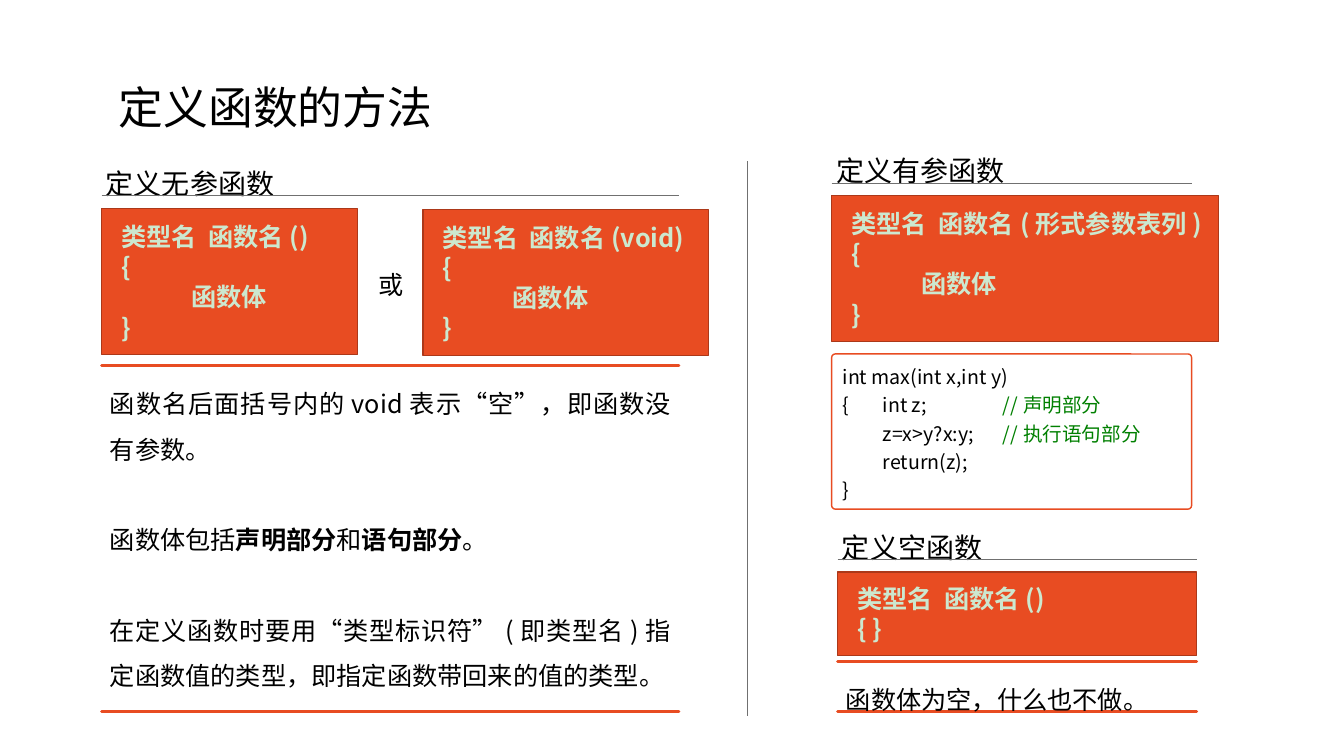
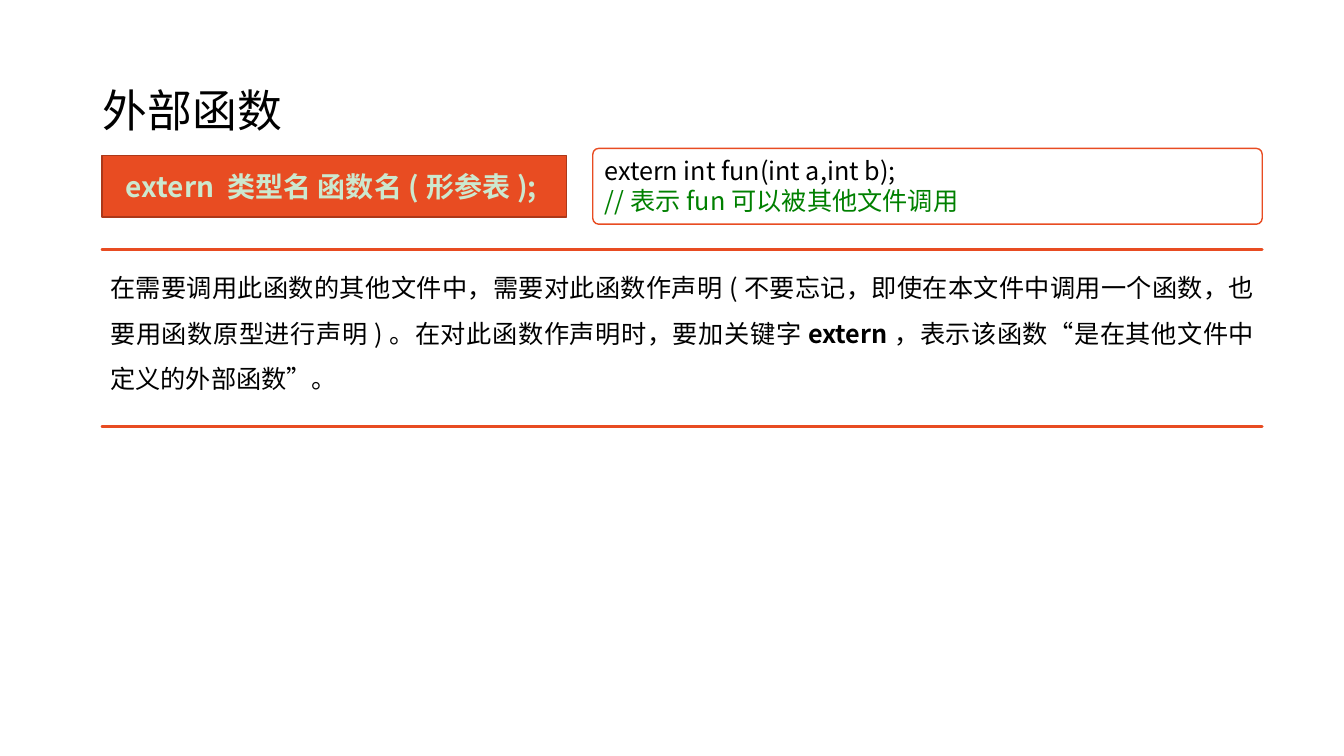
import pptx
import pptx.util
import pptx.dml.color
import pptx.enum.shapes
import pptx.enum.text
import pptx.oxml
import pptx.oxml.ns

Cm, Pt = pptx.util.Cm, pptx.util.Pt
RGBColor = pptx.dml.color.RGBColor
ALIGN = pptx.enum.text.PP_ALIGN
ANCHOR = pptx.enum.text.MSO_ANCHOR
SHAPE = pptx.enum.shapes.MSO_SHAPE
qn = pptx.oxml.ns.qn

FONT = "Noto Sans CJK SC"
LINE_HEIGHT = 1.2
ORANGE = RGBColor(0xE8, 0x4C, 0x22)
RUST = RGBColor(0xAC, 0x38, 0x19)
MINT = RGBColor(0xCC, 0xE8, 0xCF)
GREEN = RGBColor(0x00, 0x80, 0x00)
GREY = RGBColor(0x70, 0x70, 0x70)
BLACK = RGBColor(0x00, 0x00, 0x00)
WHITE = RGBColor(0xFF, 0xFF, 0xFF)

SYNTAX_TABS = (1.76, 2.19)
CODE_TABS = tuple(1.01 * step for step in range(1, 5))
BODY = ["{", "\t函数体", "}"]


def add_tabs(paragraph, stops):
    """Give a paragraph left tab stops at the given centimetres."""
    properties = paragraph._p.get_or_add_pPr()
    tab_list = properties.makeelement(qn("a:tabLst"), {})
    for stop in stops:
        tab_list.append(tab_list.makeelement(
            qn("a:tab"), {"pos": str(int(Cm(stop))), "algn": "l"}))
    properties.append(tab_list)


def write(shape, paragraphs, size=18, color=BLACK, bold=False, align=ALIGN.LEFT,
          anchor=ANCHOR.TOP, spacing=1, gap=0, tabs=(), insets=(0.25, 0.13, 0.25, 0.13)):
    """Fill a shape with paragraphs, each a string or a list of strings and (text, format) runs."""
    frame = shape.text_frame
    frame.word_wrap = True
    frame.vertical_anchor = anchor
    (frame.margin_left, frame.margin_top,
     frame.margin_right, frame.margin_bottom) = map(Cm, insets)
    for index, content in enumerate(paragraphs):
        paragraph = frame.paragraphs[0] if index == 0 else frame.add_paragraph()
        paragraph.alignment = align
        paragraph.line_spacing = Pt(round(size * LINE_HEIGHT * spacing, 1))
        if index and gap:
            paragraph.space_before = Pt(gap)
        if tabs:
            add_tabs(paragraph, tabs)
        for piece in [content] if isinstance(content, str) else content:
            words, look = (piece, {}) if isinstance(piece, str) else piece
            run = paragraph.add_run()
            run.text = words
            run.font.name = FONT
            run.font.size = Pt(size)
            run.font.bold = look.get("bold", bold)
            run.font.color.rgb = look.get("color", color)
            east_asian = run._r.get_or_add_rPr().makeelement(qn("a:ea"), {"typeface": FONT})
            run.font._element.find(qn("a:latin")).addnext(east_asian)


def text(slide, left, top, width, height, paragraphs, **look):
    """Place a text box."""
    write(slide.shapes.add_textbox(Cm(left), Cm(top), Cm(width), Cm(height)),
          paragraphs, **look)


def panel(slide, kind, left, top, width, height, fill, border):
    """Place a filled and outlined shape."""
    shape = slide.shapes.add_shape(kind, Cm(left), Cm(top), Cm(width), Cm(height))
    shape.shadow.inherit = False
    shape.fill.solid()
    shape.fill.fore_color.rgb = fill
    shape.line.color.rgb = border
    shape.line.width = Pt(1)
    return shape


def rule(slide, x1, y1, x2, y2):
    """Draw a thin straight line."""
    line = slide.shapes.add_connector(
        pptx.enum.shapes.MSO_CONNECTOR.STRAIGHT, Cm(x1), Cm(y1), Cm(x2), Cm(y2))
    line.line.color.rgb = GREY
    line.line.width = Pt(0.5)
    properties = line._element.spPr
    properties.append(properties.makeelement(qn("a:effectLst"), {}))


def title(slide, left, top, width, words):
    """Write the slide title."""
    text(slide, left, top, width, 3.68, [words], size=32, anchor=ANCHOR.MIDDLE)


def heading(slide, left, top, width, words):
    """Write a section heading over a thin rule at the given top."""
    text(slide, left - 0.14, top - 0.87, 5.49, 1.12, [words], size=20)
    rule(slide, left, top, left + width, top)


def syntax(slide, left, top, width, height, lines, **look):
    """Show a syntax template on an orange panel."""
    style = dict(color=MINT, bold=True, anchor=ANCHOR.MIDDLE,
                 tabs=SYNTAX_TABS, insets=(0.5, 0.13, 0, 0.13))
    write(panel(slide, SHAPE.RECTANGLE, left, top, width, height, ORANGE, RUST),
          lines, **{**style, **look})


def code(slide, left, top, width, height, radius, lines, **look):
    """Show sample code in a rounded frame."""
    frame = panel(slide, SHAPE.ROUNDED_RECTANGLE, left, top, width, height, WHITE, ORANGE)
    frame.adjustments[0] = radius / min(width, height)
    write(frame, lines, **look)


def note(slide, left, top, width, height, paragraphs):
    """Write an explanation in an outline of only a bottom and a top rule."""
    start, end = Cm(left), Cm(left + width)
    upper, lower = Cm(top), Cm(top + height)
    builder = slide.shapes.build_freeform(start, lower)
    builder.add_line_segments([(end, lower), (start, lower)], close=True)
    builder.move_to(start, upper)
    builder.add_line_segments([(end, upper), (start, upper)], close=True)
    outline = builder.convert_to_shape()
    outline.shadow.inherit = False
    outline.fill.background()
    outline.line.color.rgb = ORANGE
    outline.line.width = Pt(2)
    write(outline, paragraphs, align=ALIGN.JUSTIFY,
          spacing=1.5, gap=32.4, insets=(0.21, 0.2, 0.2, 0.2))


def without_parameters(slide, left, top, width):
    """Explain functions without parameters."""
    heading(slide, left, top, width, "定义无参函数")
    syntax(slide, left, top + 0.33, 6.45, 3.68, ["类型名\t函数名()"] + BODY)
    syntax(slide, left + 8.1, top + 0.35, 7.19, 3.68, ["类型名\t函数名(void)"] + BODY)
    text(slide, left + 6.7, top + 1.73, 1.17, 1.02, ["或"], align=ALIGN.CENTER)
    strong = {"bold": True}
    note(slide, left, top + 4.28, width, 8.71, [
        "函数名后面括号内的void表示“空”，即函数没有参数。",
        ["函数体包括", ("声明部分", strong), "和", ("语句部分", strong), "。"],
        "在定义函数时要用“类型标识符”(即类型名)指定函数值的类型，即指定函数带回来的值的类型。",
    ])


def with_parameters(slide, left, top, width):
    """Explain functions with parameters."""
    heading(slide, left, top, width, "定义有参函数")
    syntax(slide, left, top + 0.32, 9.75, 3.68, ["类型名\t函数名(形式参数表列)"] + BODY)
    comment = {"color": GREEN}
    code(slide, left, top + 4.31, width, 3.91, 0.09, [
        "int max(int x,int y)",
        ["{\tint z;\t\t", ("//声明部分", comment)],
        ["\tz=x>y?x:y;\t", ("//执行语句部分", comment)],
        "\treturn(z);",
        "}",
    ], size=14, spacing=1.2, tabs=CODE_TABS)


def empty_function(slide, left, top, width):
    """Explain empty functions."""
    heading(slide, left, top, width, "定义空函数")
    syntax(slide, left, top + 0.31, width, 2.11, ["类型名\t函数名()", "{ }"])
    note(slide, left, top + 2.56, width, 1.26, ["函数体为空，什么也不做。"])


def definition_slide(slide):
    """Build the slide on ways to define a function."""
    title(slide, 2.74, 0.84, 16.46, "定义函数的方法")
    without_parameters(slide, 2.56, 4.93, 14.55)
    rule(slide, 18.83, 4.06, 18.83, 18.03)
    with_parameters(slide, 20.96, 4.61, 9.07)
    empty_function(slide, 21.11, 14.1, 9.05)


def external_slide(slide):
    """Build the slide on external functions."""
    left, width = 2.57, 29.24
    title(slide, 2.34, 0.92, 29.21, "外部函数")
    syntax(slide, left, 3.92, 11.71, 1.55, ["extern 类型名 函数名(形参表);"],
           size=20, align=ALIGN.CENTER, tabs=(), insets=(0.25, 0.13, 0.4, 0.13))
    code(slide, left + 12.37, 3.74, width - 12.37, 1.91, 0.15, [
        "extern int fun(int a,int b);",
        [("//表示fun可以被其他文件调用", {"color": GREEN})],
    ])
    note(slide, left, 6.29, width, 4.45, [[
        "在需要调用此函数的其他文件中，需要对此函数作声明(不要忘记，即使在本文件中调用一个函数，"
        "也要用函数原型进行声明)。在对此函数作声明时，要加关键字",
        ("extern", {"bold": True}),
        "，表示该函数“是在其他文件中定义的外部函数”。",
    ]])


def main():
    """Build and save the presentation."""
    deck = pptx.Presentation()
    deck.slide_width, deck.slide_height = Cm(33.87), Cm(19.05)
    for build in (definition_slide, external_slide):
        slide = deck.slides.add_slide(deck.slide_layouts[6])
        slide.background.fill.solid()
        slide.background.fill.fore_color.rgb = WHITE
        build(slide)
    deck.save("out.pptx")


if __name__ == "__main__":
    main()
